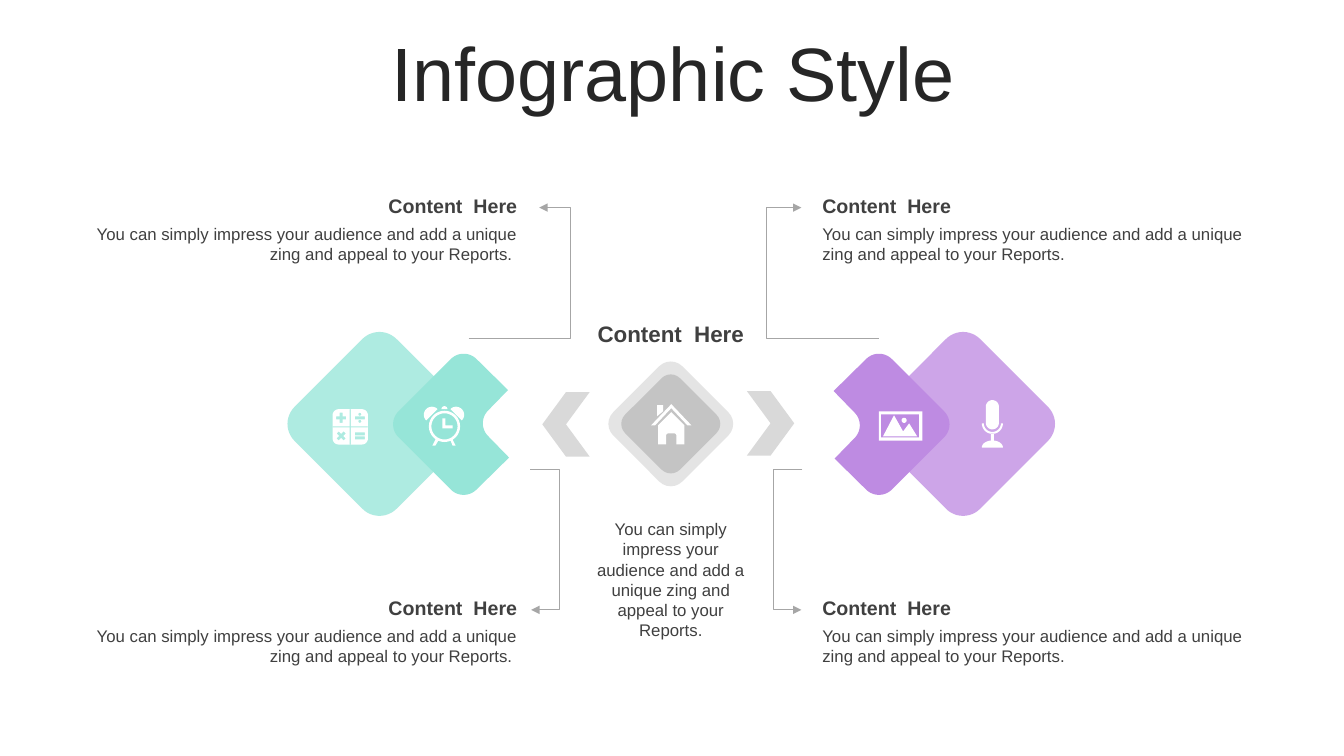
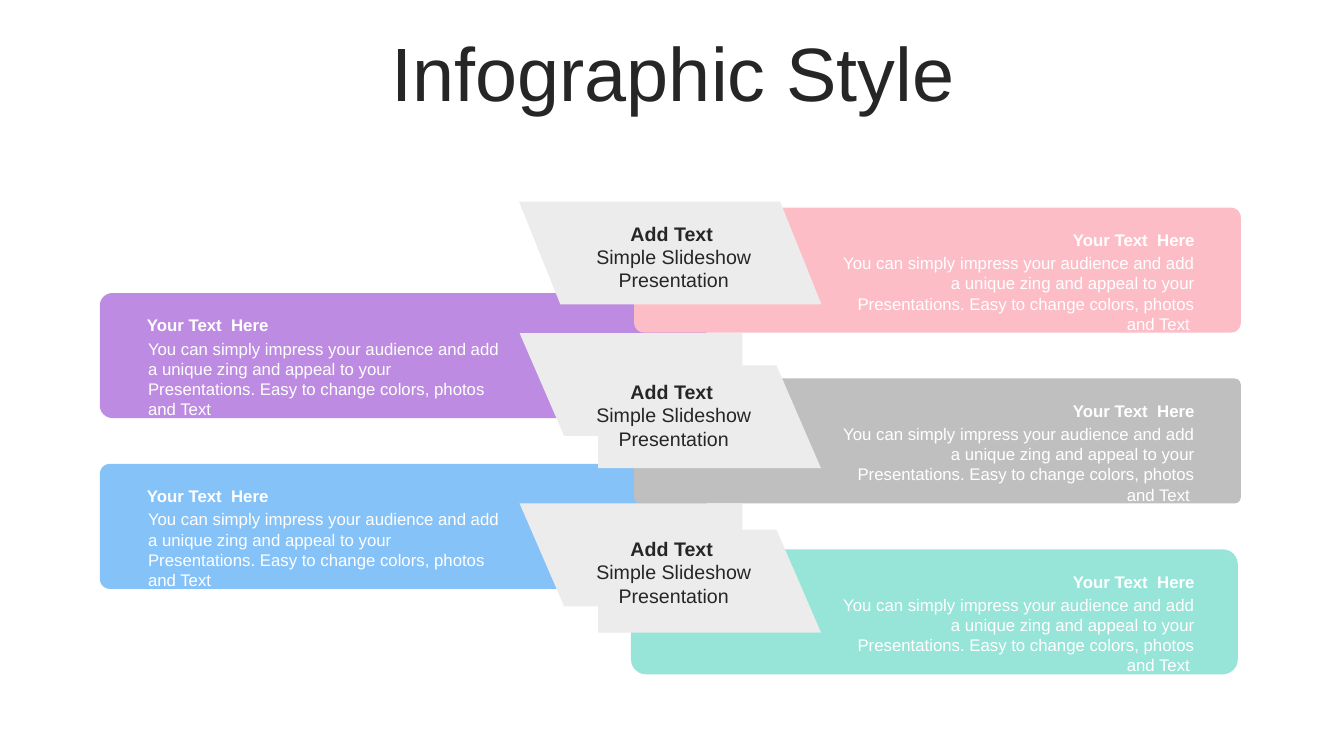
from math import cos, radians, sin

from lxml import etree
from pptx import Presentation
from pptx.dml.color import RGBColor
from pptx.enum import shapes, text
from pptx.oxml import ns
from pptx.util import Inches, Pt

# Shared style
FONT = "Arial"
TITLE_BOX = (0.35, 0.37, 12.66, 0.79)
INK = RGBColor(0x26, 0x26, 0x26)
BODY = RGBColor(0x40, 0x40, 0x40)
WHITE = RGBColor(0xFF, 0xFF, 0xFF)
TEAL = RGBColor(0x96, 0xE5, 0xD8)
PURPLE = RGBColor(0xBE, 0x8B, 0xE2)
BLUE = RGBColor(0x85, 0xC2, 0xF8)
PINK = RGBColor(0xFD, 0xBD, 0xC7)
GREY = RGBColor(0xBF, 0xBF, 0xBF)
ARROW_GREY = RGBColor(0xD9, 0xD9, 0xD9)
TAB_GREY = RGBColor(0xEC, 0xEC, 0xEC)
LINE_GREY = RGBColor(0xA6, 0xA6, 0xA6)
LEFT, CENTER, RIGHT = text.PP_ALIGN.LEFT, text.PP_ALIGN.CENTER, text.PP_ALIGN.RIGHT
SHAPE = shapes.MSO_SHAPE

# Slide 1 content
TITLE = "Infographic Style"
CONTENT_HEAD = "Content  Here"
CONTENT_BODY = ("You can simply impress your audience and add a unique zing "
                "and appeal to your Reports.")
CAPTION_COLUMNS = [(0.81, RIGHT, " "), (8.06, LEFT, "")]  # left, alignment, ending
CAPTION_ROWS = [1.87, 5.86]
CALLOUTS = [
    [(5.26, 4.66), (5.55, 4.66), (5.55, 6.05), (5.27, 6.05)],
    [(7.96, 4.66), (7.67, 4.66), (7.67, 6.05), (7.95, 6.05)],
    [(4.65, 3.36), (5.66, 3.36), (5.66, 2.06), (5.35, 2.06)],
    [(8.72, 3.36), (7.6, 3.36), (7.6, 2.06), (7.95, 2.06)],
]
DIAMONDS = [  # left, top, side, colour, opacity %
    (3.05, 3.49, 1.43, TEAL, 77),
    (8.84, 3.49, 1.43, PURPLE, 77),
    (6.17, 3.72, 0.97, GREY, 42),
    (6.27, 3.82, 0.77, GREY, 85),
]
CHEVRONS = [(7.41, 3.88, 0), (5.38, 3.89, 180)]  # left, top, rotation
NOTCHED = [(4.6, 1, TEAL), (8.72, -1, PURPLE)]  # centre x, direction, colour
NOTCHED_Y = 4.21

# Slide 2 content
BAR_HEAD = "Your Text  Here"
BAR_BODY = ("You can simply impress your audience and add a unique zing and appeal "
            "to your Presentations. Easy to change colors, photos and Text")
FIRST_BAR, LAST_BAR = 2.06, 5.45
BARS = [  # row, bar left, text left, alignment, ending, corner, colour
    (3, 0.99, 1.36, LEFT, "", 0.08, BLUE),
    (1, 0.99, 1.36, LEFT, "", 0.1, PURPLE),
    (4, 6.26, 8.23, RIGHT, " ", 0.12, TEAL),
    (2, 6.29, 8.23, RIGHT, " ", 0.05, GREY),
    (0, 6.29, 8.23, RIGHT, " ", 0.08, PINK),
]
TAB_HEAD, TAB_BODY = "Add Text", "Simple Slideshow Presentation"
TAB_HALVES = [(6.53, 3.03, 90), (5.75, 2.71, 270), (6.53, 4.66, 90), (5.75, 4.4, 270)]
TOP_TAB = [(5.15, 2), (7.74, 2), (8.15, 3.02), (5.56, 3.02)]
TAB_TEXT_TOPS = [2.15, 3.72, 5.28]


# Outline helpers: each returns a list of points in inches
def arc(cx, cy, r, start, end, ry=None, steps=16):
    angles = [radians(start + (end - start) * i / steps) for i in range(steps + 1)]
    return [(cx + r * cos(a), cy + (ry or r) * sin(a)) for a in angles]


def circle(cx, cy, r):
    return arc(cx, cy, r, 0, 360, steps=32)


def rect(x1, y1, x2, y2):
    return [(x1, y1), (x2, y1), (x2, y2), (x1, y2)]


def round_rect(x1, y1, x2, y2, r):
    return (arc(x1 + r, y1 + r, r, 180, 270) + arc(x2 - r, y1 + r, r, 270, 360)
            + arc(x2 - r, y2 - r, r, 0, 90) + arc(x1 + r, y2 - r, r, 90, 180))


def cross(cx, cy, arm, half, angle=0):
    points = []
    for turn in range(4):
        a = radians(angle + 90 * turn)
        for x, y in ((arm, -half), (arm, half), (half, half)):
            points.append((cx + x * cos(a) - y * sin(a), cy + x * sin(a) + y * cos(a)))
    return points


def notched_diamond(cx, cy, direction):
    r = 0.18
    points = (arc(0, -0.52, r, 225, 315) + [(0.44, -0.34)]
              + arc(0.37, -0.01, r, 225, 135) + [(0.45, 0.33)]
              + arc(0, 0.52, r, 45, 135) + arc(-0.52, 0, r, 135, 225))
    return [(cx + direction * x, cy + direction * y) for x, y in points]


# Icons: inner outlines become holes
CALCULATOR = [
    round_rect(3.3, 4.06, 3.65, 4.41, 0.06),
    cross(3.475, 4.235, 0.175, 0.005),
    cross(3.385, 4.145, 0.05, 0.015),
    cross(3.385, 4.325, 0.05, 0.015, 45),
    rect(3.52, 4.13, 3.62, 4.16),
    circle(3.57, 4.11, 0.015), circle(3.57, 4.18, 0.015),
    rect(3.52, 4.29, 3.62, 4.32), rect(3.52, 4.33, 3.62, 4.36),
]
CLOCK = [
    circle(4.41, 4.23, 0.155), circle(4.41, 4.23, 0.13),
    [(4.39, 4.15), (4.42, 4.15), (4.42, 4.22), (4.49, 4.22), (4.49, 4.25), (4.39, 4.25)],
    arc(4.285, 4.115, 0.08, 135, 315),
    arc(4.525, 4.115, 0.08, 225, 405),
    arc(4.41, 4.06, 0.03, 180, 360),
    [(4.35, 4.37), (4.32, 4.42), (4.29, 4.42), (4.32, 4.36)],
    [(4.47, 4.37), (4.49, 4.42), (4.52, 4.42), (4.49, 4.36)],
]
HOUSE = [
    [(6.66, 4.09), (6.79, 4.22), (6.79, 4.41), (6.71, 4.41)]
    + arc(6.69, 4.32, 0.02, 0, -90) + arc(6.63, 4.32, 0.02, 270, 180)
    + [(6.61, 4.41), (6.53, 4.41), (6.53, 4.22)],
    [(6.52, 4.02), (6.58, 4.02), (6.58, 4.08), (6.52, 4.13)],
    [(6.66, 4.01), (6.86, 4.22), (6.82, 4.22), (6.66, 4.05), (6.5, 4.22), (6.46, 4.22)],
]
MICROPHONE = [
    round_rect(9.78, 3.97, 9.91, 4.26, 0.065),
    arc(9.845, 4.2, 0.105, 0, 180) + arc(9.845, 4.2, 0.085, 180, 0),
    rect(9.83, 4.3, 9.86, 4.37),
    arc(9.845, 4.44, 0.105, 180, 360, ry=0.07),
]
LANDSCAPE = [
    rect(8.72, 4.08, 9.15, 4.37), rect(8.74, 4.11, 9.12, 4.34),
    [(8.87, 4.12), (8.96, 4.28), (9.02, 4.2), (9.1, 4.33), (8.76, 4.33)],
    circle(8.97, 4.17, 0.025),
]


# Drawing helpers
def inches(values):
    return [Inches(v) for v in values]


def write(tf, content, size, color, align, bold=False):
    p = tf.paragraphs[0]
    p.alignment = align
    r = p.add_run()
    r.text = content
    r.font.name, r.font.size, r.font.bold = FONT, Pt(size), bold
    r.font.color.rgb = color
    return p


def add_text(s, box, content, size, color, align, bold=False):
    tf = s.shapes.add_textbox(*inches(box)).text_frame
    tf.word_wrap = True
    write(tf, content, size, color, align, bold)


def add_titled_slide(prs):
    s = prs.slides.add_slide(prs.slide_layouts[5])
    title = s.shapes.title
    title.left, title.top, title.width, title.height = inches(TITLE_BOX)
    tf = title.text_frame
    tf.auto_size = text.MSO_AUTO_SIZE.NONE
    tf.vertical_anchor = text.MSO_ANCHOR.MIDDLE
    p = write(tf, TITLE, 54, INK, CENTER)
    p.line_spacing = 0.9
    return s


def paint(sp, color, opacity=100):
    sp.shadow.inherit = False
    sp.fill.solid()
    sp.fill.fore_color.rgb = color
    sp.line.fill.background()
    if opacity < 100:
        clr = sp._element.spPr.find(".//" + ns.qn("a:srgbClr"))
        etree.SubElement(clr, ns.qn("a:alpha"), val=str(opacity * 1000))


def add_preset(s, kind, box, color, rotation=0, opacity=100):
    sp = s.shapes.add_shape(kind, *inches(box))
    sp.rotation = rotation
    paint(sp, color, opacity)
    return sp


def build_outline(s, contours, close=True):
    first, *others = [[inches(pt) for pt in c] for c in contours]
    builder = s.shapes.build_freeform(*first[0])
    builder.add_line_segments(first[1:], close=close)
    for contour in others:
        builder.move_to(*contour[0])
        builder.add_line_segments(contour[1:], close=close)
    return builder.convert_to_shape()


def add_callout(s, points):
    sp = build_outline(s, [points], close=False)
    sp.shadow.inherit = False
    sp.fill.background()
    sp.line.color.rgb = LINE_GREY
    sp.line.width = Pt(0.5)
    etree.SubElement(sp.line._get_or_add_ln(), ns.qn("a:tailEnd"), type="triangle")


def build_diamond_slide(prs):
    s = add_titled_slide(prs)

    # Corner captions and their callout lines
    for left, align, ending in CAPTION_COLUMNS:
        for top in CAPTION_ROWS:
            add_text(s, (left, top, 4.42, 0.34), CONTENT_HEAD, 14, BODY, align, True)
            add_text(s, (left, top + 0.3, 4.42, 0.5), CONTENT_BODY + ending, 12, BODY, align)
    for points in CALLOUTS:
        add_callout(s, points)

    # Centre caption
    add_text(s, (5.66, 3.13, 1.99, 0.37), CONTENT_HEAD, 16, BODY, CENTER, True)
    add_text(s, (5.73, 5.1, 1.85, 1.31), CONTENT_BODY, 12, BODY, CENTER)

    # Diamonds, chevrons and icons
    for left, top, side, color, opacity in DIAMONDS:
        add_preset(s, SHAPE.ROUNDED_RECTANGLE, (left, top, side, side), color, 315, opacity)
    for cx, direction, color in NOTCHED:
        paint(build_outline(s, [notched_diamond(cx, NOTCHED_Y, direction)]), color)
    for left, top, rotation in CHEVRONS:
        add_preset(s, SHAPE.CHEVRON, (left, top, 0.47, 0.64), ARROW_GREY, rotation)
    for icon in (CLOCK, CALCULATOR, HOUSE, MICROPHONE, LANDSCAPE):
        paint(build_outline(s, icon), WHITE)


def build_bar_slide(prs):
    s = add_titled_slide(prs)

    # Coloured bars with their text
    step = (LAST_BAR - FIRST_BAR) / (len(BARS) - 1)
    for row, left, text_left, align, ending, corner, color in BARS:
        top = FIRST_BAR + row * step
        bar = add_preset(s, SHAPE.ROUNDED_RECTANGLE, (left, top, 6.02, 1.24), color)
        bar.adjustments[0] = corner
        add_text(s, (text_left + 0.01, top + 0.4, 3.71, 0.71), BAR_BODY + ending,
                 12, WHITE, align)
        add_text(s, (text_left, top + 0.17, 3.72, 0.3), BAR_HEAD, 12, WHITE, align, True)

    # Slanted tabs down the middle
    for left, top, rotation in TAB_HALVES:
        add_preset(s, SHAPE.FLOWCHART_MANUAL_INPUT, (left, top, 1.02, 2.21),
                   TAB_GREY, rotation)
    paint(build_outline(s, [TOP_TAB]), TAB_GREY)
    for top in TAB_TEXT_TOPS:
        add_text(s, (5.45, top, 2.43, 0.34), TAB_HEAD, 14, INK, CENTER, True)
        add_text(s, (5.47, top + 0.23, 2.43, 0.81), TAB_BODY, 14, INK, CENTER)


def main():
    prs = Presentation()
    prs.slide_width, prs.slide_height = Inches(40 / 3), Inches(7.5)
    build_diamond_slide(prs)
    build_bar_slide(prs)
    prs.save("out.pptx")


if __name__ == "__main__":
    main()
